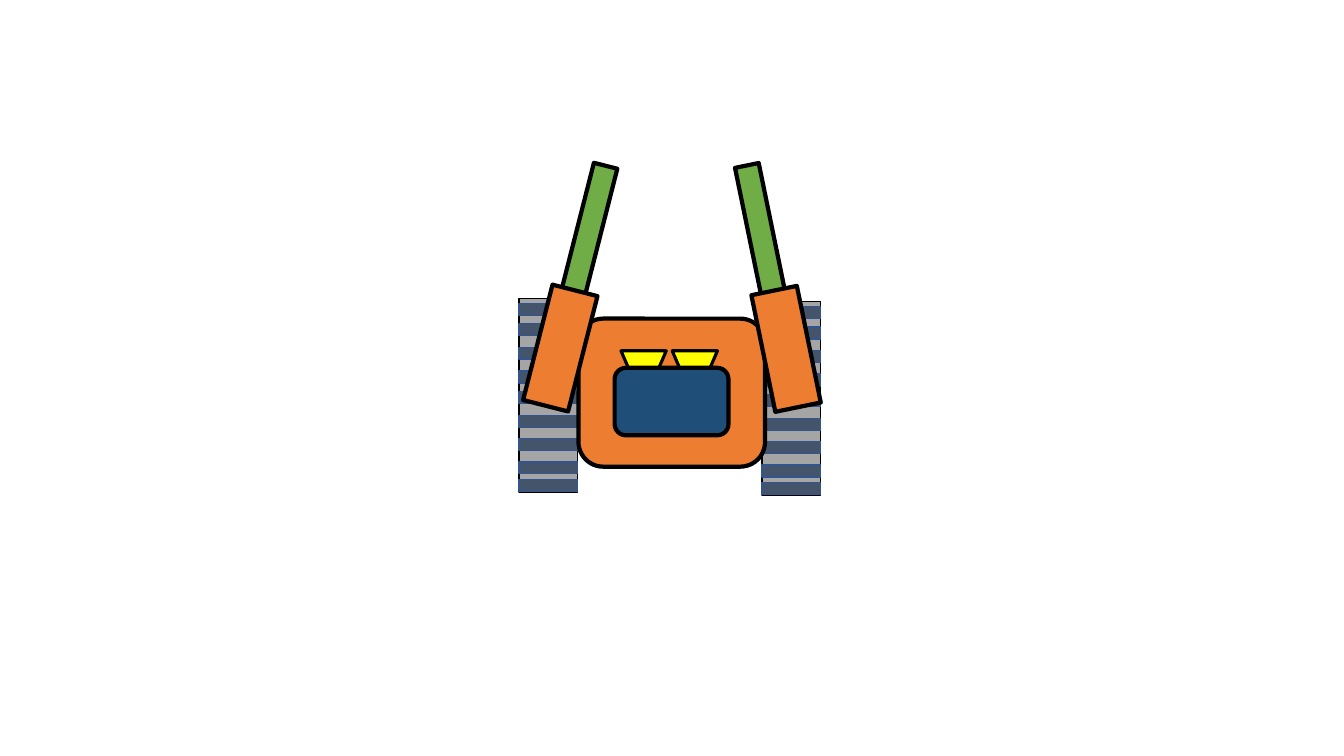
from dataclasses import dataclass

from pptx import Presentation
from pptx.dml.color import RGBColor
from pptx.enum.shapes import MSO_SHAPE
from pptx.util import Cm, Pt

# Content: all lengths in cm, angles in degrees
TRACKS = [(13.08, 7.52), (19.2, 7.6)]  # left, top
TRACK_SIZE = (1.48, 4.88)
TREAD_TOPS = [0.13, 0.64, 1.23, 1.83, 2.35, 2.95, 3.53, 4.12, 4.56]
TREAD_HEIGHT = 0.3

BODY = (14.58, 8.03, 4.7, 3.73)
EYE_LEFTS = [16.94, 15.65]
EYE_TOP, EYE_SIZE = 8.84, (1.14, 1.32)
MOUTH = (15.49, 9.27, 2.87, 1.7)

FOREARM_SIZE = (5.54, 0.61)
UPPER_ARM_SIZE = (3.0, 1.17)
ARMS = [  # forearm centre, upper arm centre, rotation
    ((14.58, 6.86), (14.12, 8.77), 284.3),
    ((19.38, 6.88), (19.81, 8.79), 258.4),
]


@dataclass(frozen=True)
class Theme:
    track: str = "A5A5A5"
    tread: str = "44546A"
    tread_edge: str = "325491"
    shell: str = "ED7D31"
    eye: str = "FFFF00"
    mouth: str = "1F4E79"
    forearm: str = "70AD47"
    outline: str = "000000"
    thin: float = 1
    medium: float = 2.25
    thick: float = 3


THEME = Theme()


def add_part(group, kind, box, fill, line=THEME.outline, weight=THEME.thick, rotation=0):
    sp = group.shapes.add_shape(kind, *(Cm(v) for v in box))
    sp.shadow.inherit = False
    sp.fill.solid()
    sp.fill.fore_color.rgb = RGBColor.from_string(fill)
    sp.line.color.rgb = RGBColor.from_string(line)
    sp.line.width = Pt(weight)
    sp.rotation = rotation


def centred(centre, size):
    return (centre[0] - size[0] / 2, centre[1] - size[1] / 2, *size)


def add_track(robot, left, top):
    track = robot.shapes.add_group_shape()
    add_part(track, MSO_SHAPE.RECTANGLE, (left, top, *TRACK_SIZE),
             THEME.track, weight=THEME.thin)
    for offset in TREAD_TOPS:
        add_part(track, MSO_SHAPE.RECTANGLE,
                 (left, top + offset, TRACK_SIZE[0], TREAD_HEIGHT),
                 THEME.tread, THEME.tread_edge, THEME.thin)


def main():
    prs = Presentation()
    prs.slide_width, prs.slide_height = Cm(33.87), Cm(19.05)
    slide = prs.slides.add_slide(prs.slide_layouts[6])
    robot = slide.shapes.add_group_shape()

    # Tracks
    for left, top in TRACKS:
        add_track(robot, left, top)

    # Body and face
    add_part(robot, MSO_SHAPE.ROUNDED_RECTANGLE, BODY, THEME.shell)
    for left in EYE_LEFTS:
        add_part(robot, MSO_SHAPE.ISOSCELES_TRIANGLE, (left, EYE_TOP, *EYE_SIZE),
                 THEME.eye, weight=THEME.medium, rotation=180)
    add_part(robot, MSO_SHAPE.ROUNDED_RECTANGLE, MOUTH, THEME.mouth)

    # Arms
    for forearm, upper_arm, angle in ARMS:
        add_part(robot, MSO_SHAPE.RECTANGLE, centred(forearm, FOREARM_SIZE),
                 THEME.forearm, rotation=angle)
        add_part(robot, MSO_SHAPE.RECTANGLE, centred(upper_arm, UPPER_ARM_SIZE),
                 THEME.shell, rotation=angle)

    prs.save("out.pptx")


if __name__ == "__main__":
    main()
